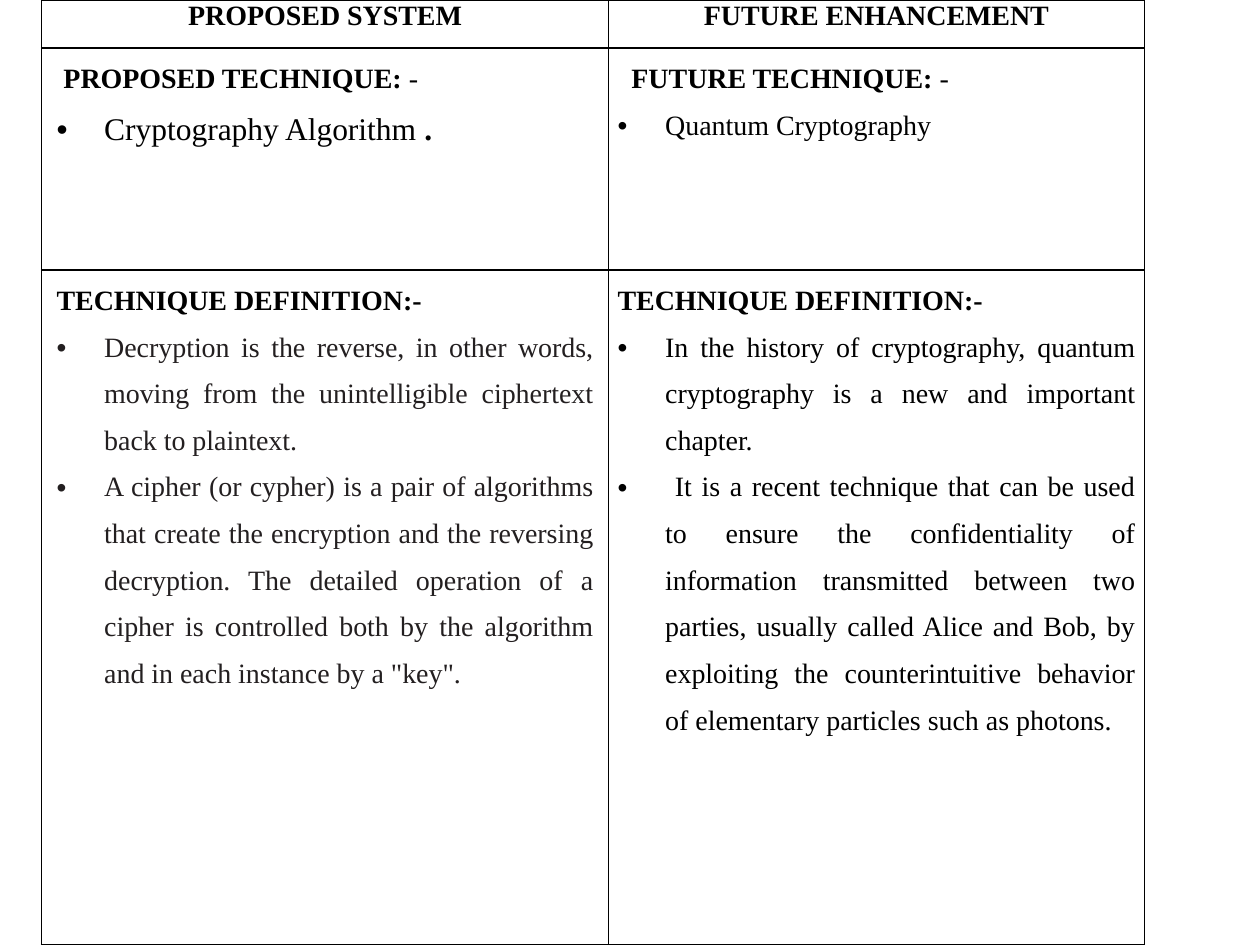
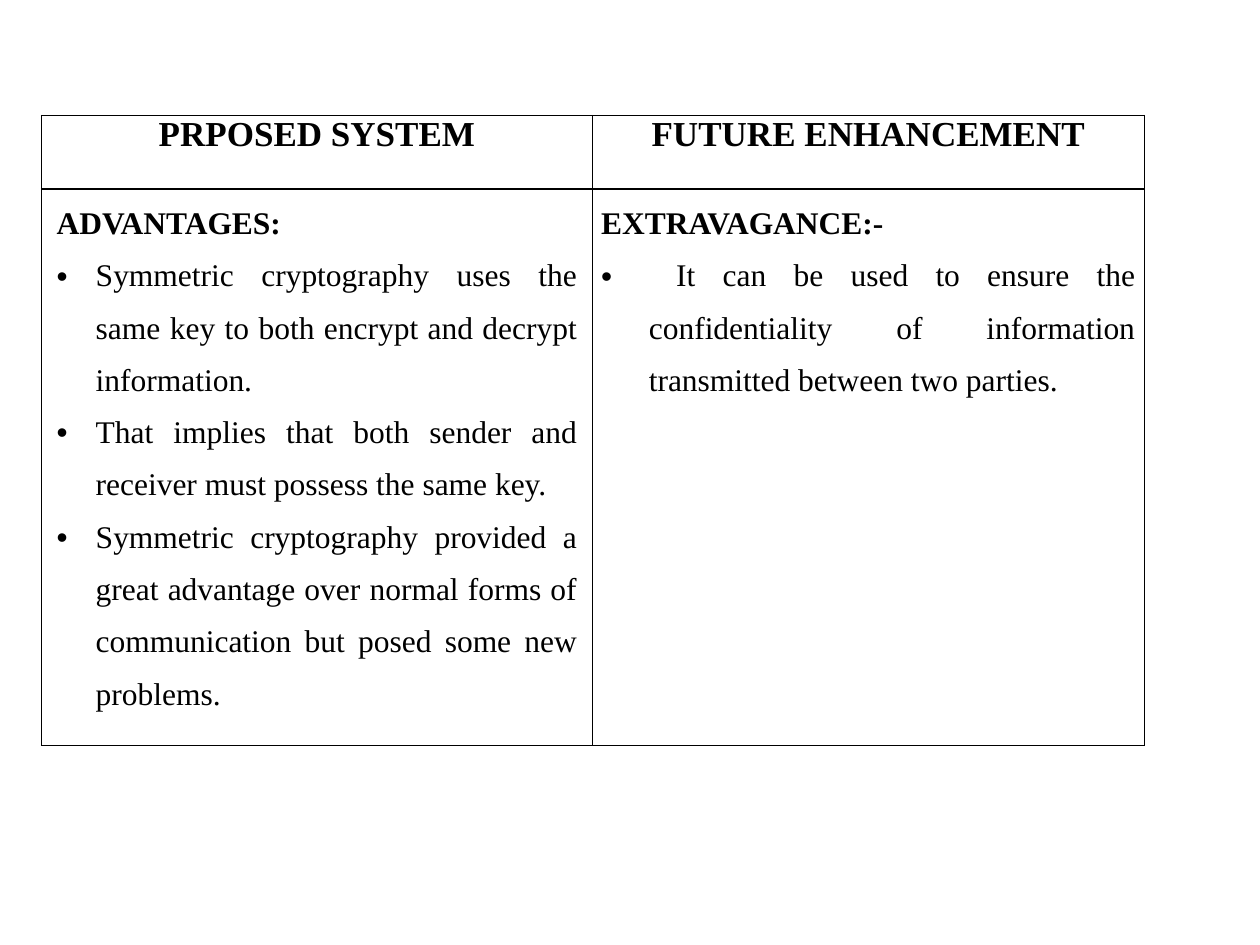
from dataclasses import dataclass

from lxml.etree import SubElement
from pptx import Presentation
from pptx.dml.color import RGBColor
from pptx.enum.text import PP_ALIGN
from pptx.oxml.ns import qn
from pptx.util import Cm, Pt

COLORS = {"text": "000000", "soft": "231F20", "border": "000000"}
FONT = "Times New Roman"
TABLE_LEFT = 0.84
HEADER_INSET = 0.08
COLUMN_INSETS = (0.3, 0.18)


@dataclass
class Line:
    """One paragraph of a cell; the tail has the opposite weight of the text."""
    text: str
    size: int = 16
    bold: bool = False
    tail: str = ""
    color: str = "text"
    bullet: bool = False
    margin: float = 0


def heading(text, size=16, tail="", margin=0):
    """Describe a bold heading line."""
    return Line(text, size, True, tail, margin=margin)


def point(text, size=16, tail="", color="text", margin=0.96):
    """Describe a bulleted line."""
    return Line(text, size, False, tail, color, True, margin)


def set_borders(cell):
    """Draw a one-point line on every side of a cell."""
    properties = cell._tc.get_or_add_tcPr()
    for index, side in enumerate(("lnL", "lnR", "lnT", "lnB")):
        line = properties.makeelement(qn("a:" + side), {"w": str(Pt(1))})
        fill = SubElement(line, qn("a:solidFill"))
        SubElement(fill, qn("a:srgbClr"), val=COLORS["border"])
        properties.insert(index, line)


def style_font(font, line):
    """Apply typeface, size, weight and colour of a line."""
    font.name = FONT
    font.size = Pt(line.size)
    font.bold = line.bold
    font.color.rgb = RGBColor.from_string(COLORS[line.color])


def write_line(paragraph, line):
    """Fill a justified body paragraph, with its bullet and tail if any."""
    paragraph.alignment = PP_ALIGN.JUSTIFY
    paragraph.line_spacing = 1.5
    properties = paragraph._p.get_or_add_pPr()
    properties.set("marL", str(Cm(line.margin)))
    properties.set("indent", str(-Cm(line.margin) if line.bullet else 0))
    if line.bullet:
        SubElement(properties, qn("a:buFont"), typeface="Arial")
        SubElement(properties, qn("a:buChar"), char="\u2022")
    else:
        SubElement(properties, qn("a:buNone"))
    style_font(paragraph.font, line)
    paragraph.add_run().text = line.text
    if line.tail:
        tail = paragraph.add_run()
        tail.text = line.tail
        tail.font.bold = not line.bold


def prepare_cell(cell, inset):
    """Give a cell its margins, borders and empty fill."""
    cell.margin_left = cell.margin_right = Cm(inset)
    cell.margin_top = cell.margin_bottom = 0
    cell.fill.background()
    set_borders(cell)


def fill_header(cell, text, size):
    """Write a centred column title."""
    prepare_cell(cell, HEADER_INSET)
    paragraph = cell.text_frame.paragraphs[0]
    paragraph.alignment = PP_ALIGN.CENTER
    paragraph.space_before = paragraph.space_after = Pt(6)
    style_font(paragraph.font, heading(text, size))
    paragraph.add_run().text = text


def fill_body(cell, lines, inset):
    """Write the heading and points of a body cell."""
    prepare_cell(cell, inset)
    frame = cell.text_frame
    for index, line in enumerate(lines):
        paragraph = frame.add_paragraph() if index else frame.paragraphs[0]
        write_line(paragraph, line)


def add_comparison(presentation, top, widths, heights, titles, title_size, body):
    """Add a slide with a two-column comparison table."""
    slide = presentation.slides.add_slide(presentation.slide_layouts[6])
    table = slide.shapes.add_table(
        len(heights), len(widths), Cm(TABLE_LEFT), Cm(top),
        Cm(sum(widths)), Cm(sum(heights))).table
    table.first_row = table.horz_banding = False
    for column, width in zip(table.columns, widths):
        column.width = Cm(width)
    for row, height in zip(table.rows, heights):
        row.height = Cm(height)
    for column, title in enumerate(titles):
        fill_header(table.cell(0, column), title, title_size)
    for row, cells in enumerate(body, start=1):
        for column, lines in enumerate(cells):
            fill_body(table.cell(row, column), lines, COLUMN_INSETS[column])


TECHNIQUES = [
    ([heading("PROPOSED TECHNIQUE:", tail=" -", margin=0.14),
      point("Cryptography Algorithm", 18, tail=" .")],
     [heading("FUTURE TECHNIQUE:", tail=" -", margin=0.28),
      point("Quantum Cryptography")]),
    ([heading("TECHNIQUE DEFINITION:-"),
      point("Decryption is the reverse, in other words, moving from the "
            "unintelligible ciphertext back to plaintext.", color="soft"),
      point("A cipher (or cypher) is a pair of algorithms that create the "
            "encryption and the reversing decryption. The detailed operation "
            "of a cipher is controlled both by the algorithm and in each "
            "instance by a \"key\".", color="soft")],
     [heading("TECHNIQUE DEFINITION:-"),
      point("In the history of cryptography, quantum cryptography is a new "
            "and important chapter."),
      point(" It is a recent technique that can be used to ensure the "
            "confidentiality of information transmitted between two parties, "
            "usually called Alice and Bob, by exploiting the counterintuitive "
            "behavior of elementary particles such as photons.")]),
]

ADVANTAGES = [
    ([heading("ADVANTAGES:", 18)] + [
        point(text, 18, margin=0.79) for text in (
            "Symmetric cryptography uses the same key to both encrypt and "
            "decrypt information.",
            "That implies that both sender and receiver must possess the "
            "same key.",
            "Symmetric cryptography provided a great advantage over normal "
            "forms of communication but posed some new problems.")],
     [heading("EXTRAVAGANCE:-", 18),
      point(" It can be used to ensure the confidentiality of information "
            "transmitted between two parties.", 18)]),
]


def main():
    """Build and save the presentation."""
    presentation = Presentation()
    presentation.slide_width, presentation.slide_height = Cm(25.4), Cm(19.05)
    add_comparison(presentation, 0, (11.43, 10.8), (0.97, 4.47, 13.61),
                   ("PROPOSED SYSTEM", "FUTURE ENHANCEMENT"), 16, TECHNIQUES)
    add_comparison(presentation, 2.33, (11.1, 11.13), (1.48, 11.22),
                   ("PRPOSED SYSTEM", "FUTURE ENHANCEMENT"), 20, ADVANTAGES)
    presentation.save("out.pptx")


main()
